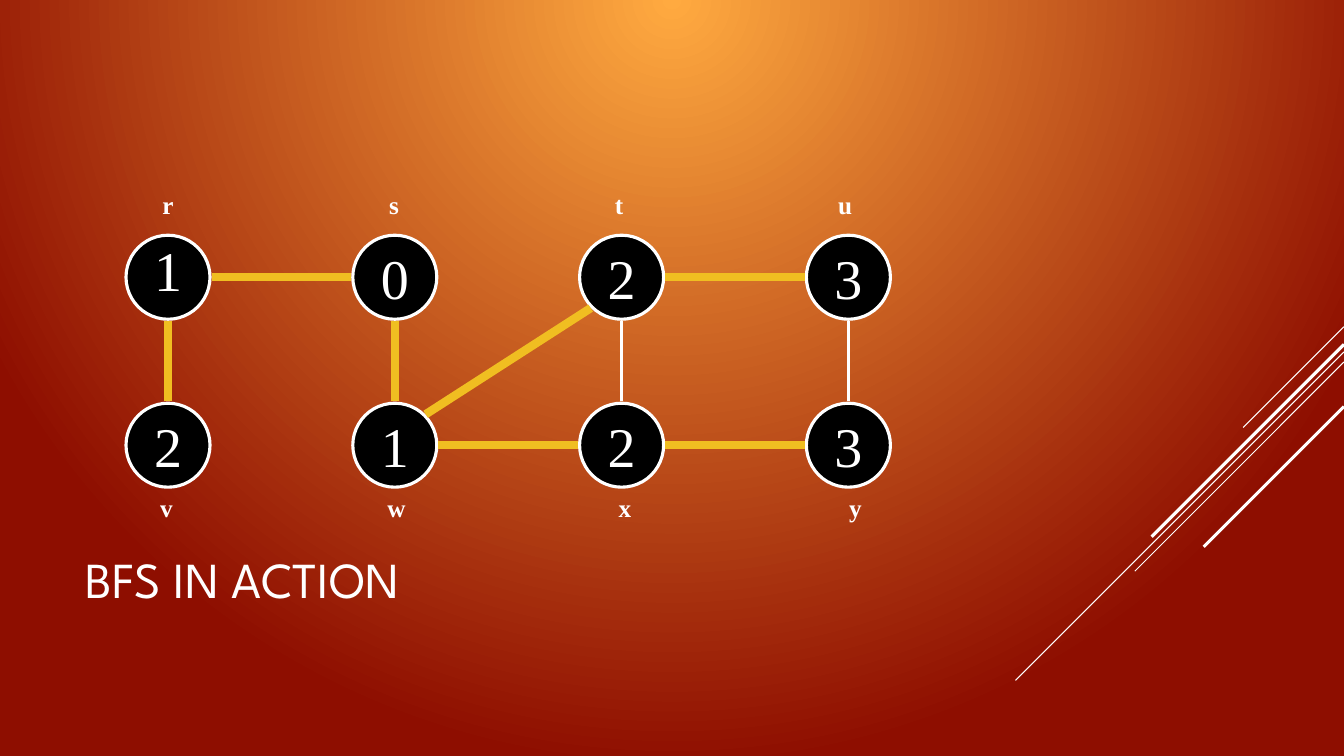
from math import copysign, hypot

from lxml.etree import SubElement
from pptx import Presentation
from pptx.dml.color import RGBColor
from pptx.enum.shapes import MSO_CONNECTOR as Connector, MSO_SHAPE as Shape
from pptx.enum.text import MSO_ANCHOR as Anchor, MSO_AUTO_SIZE as AutoSize, PP_ALIGN as Align
from pptx.oxml.ns import qn
from pptx.util import Inches, Pt

COLORS = {"glow": "FFAA40", "edge": "8E0E00", "node": "000000",
          "tree": "F0BE21", "white": "FFFFFF"}
COLUMNS, ROWS, CELLS_PER_INCH = 160, 90, 12
NODE_SIZE, NODE_REACH = 10, 5.2
FIRST_COLUMN, FIRST_ROW, COLUMN_STEP, ROW_STEP = 20, 33, 27, 20
LABEL_ROWS = (22, 58)

STREAKS = [(38.9, 12, 0.75), (41.9, 39.1, 0.75), (43.1, 24.9, 0.75),
           (41, 22.9, 2.25), (48.4, 16.7, 2.25)]
NODES = {
    "r": (0, 0, "1", 0, 3.7), "v": (0, 1, "2", -0.2, 3.8),
    "s": (1, 0, "0", -0.1, 3.7), "w": (1, 1, "1", 0.2, 4.7),
    "t": (2, 0, "2", -0.3, 3.4), "x": (2, 1, "2", 0.4, 4.1),
    "u": (3, 0, "3", -0.4, 4.3), "y": (3, 1, "3", 0.8, 3.8),
}
EDGES = [("v", "r", True), ("r", "s", True), ("s", "w", True),
         ("w", "t", True), ("w", "x", True), ("x", "t", False),
         ("t", "u", True), ("x", "y", True), ("y", "u", False)]


def grid(cells):
    return Inches(cells / CELLS_PER_INCH)


def color(name):
    return RGBColor.from_string(COLORS[name])


def center(name):
    column, row = NODES[name][:2]
    return FIRST_COLUMN + COLUMN_STEP * column, FIRST_ROW + ROW_STEP * row


class SlideBuilder:
    """Draws styled elements on one slide, measured in grid columns and rows."""

    def __init__(self, slide):
        self.slide = slide
        self.title_font = "League Spartan"
        self.graph_font = "Times New Roman"

    def background(self):
        fill = self.slide.background.fill
        fill.gradient()
        for stop, name in zip(fill.gradient_stops, ("glow", "edge")):
            stop.color.rgb = color(name)
        gradient = self.slide.element.find(".//" + qn("a:gradFill"))
        gradient.remove(gradient.find(qn("a:lin")))
        radial = SubElement(gradient, qn("a:path"), {"path": "circle"})
        SubElement(radial, qn("a:fillToRect"), {"b": "100000"})

    def add_text(self, frame, text, font, size, bold=False, align=Align.CENTER):
        paragraph = frame.paragraphs[0]
        paragraph.alignment = align
        run = paragraph.add_run()
        run.text = text
        run.font.name = font
        run.font.size = Pt(size)
        run.font.bold = bold
        run.font.color.rgb = color("white")
        return paragraph

    def line(self, start, end, name, weight):
        points = [grid(value) for value in (*start, *end)]
        connector = self.slide.shapes.add_connector(Connector.STRAIGHT, *points)
        connector.line.color.rgb = color(name)
        connector.line.width = Pt(weight)
        SubElement(connector.element.spPr, qn("a:effectLst"))

    def title(self, text, left, top, width, height):
        box = self.slide.shapes.add_textbox(*map(grid, (left, top, width, height)))
        frame = box.text_frame
        frame.word_wrap = True
        frame.vertical_anchor = Anchor.MIDDLE
        self.add_text(frame, text, self.title_font, 36, align=Align.LEFT)

    def node(self, name):
        x, y = center(name)
        bounds = (x - NODE_SIZE / 2, y - NODE_SIZE / 2, NODE_SIZE, NODE_SIZE)
        shape = self.slide.shapes.add_shape(Shape.OVAL, *map(grid, bounds))
        shape.shadow.inherit = False
        shape.fill.solid()
        shape.fill.fore_color.rgb = color("node")
        shape.line.color.rgb = color("white")
        shape.line.width = Pt(2.25)
        frame = shape.text_frame
        frame.word_wrap = False
        frame.vertical_anchor = Anchor.MIDDLE
        paragraph = self.add_text(frame, NODES[name][2], self.graph_font, 40)
        if name == "r":
            paragraph.line_spacing = 0.7

    def label(self, name):
        row, nudge, width = NODES[name][1], *NODES[name][3:]
        left = center(name)[0] + nudge - width / 2
        bounds = (left, LABEL_ROWS[row], width, 5.2)
        frame = self.slide.shapes.add_textbox(*map(grid, bounds)).text_frame
        frame.word_wrap = False
        frame.auto_size = AutoSize.SHAPE_TO_FIT_TEXT
        self.add_text(frame, name, self.graph_font, 18, bold=True)

    def edge(self, first, second, in_tree):
        (x1, y1), (x2, y2) = center(first), center(second)
        step_x = copysign(1, x2 - x1) if x1 != x2 else 0
        step_y = copysign(1, y2 - y1) if y1 != y2 else 0
        reach = NODE_REACH / hypot(step_x, step_y)
        start = (x1 + reach * step_x, y1 + reach * step_y)
        end = (x2 - reach * step_x, y2 - reach * step_y)
        self.line(start, end, *(("tree", 6) if in_tree else ("white", 2.25)))


def main():
    presentation = Presentation()
    presentation.slide_width = grid(COLUMNS)
    presentation.slide_height = grid(ROWS)
    builder = SlideBuilder(presentation.slides.add_slide(presentation.slide_layouts[6]))
    builder.background()
    for top, length, weight in STREAKS:
        builder.line((COLUMNS, top), (COLUMNS - length, top + length), "white", weight)
    builder.title("BFS IN ACTION", 9, 59, 112, 19.8)
    for name in NODES:
        builder.node(name)
    for name in NODES:
        builder.label(name)
    for first, second, in_tree in EDGES:
        builder.edge(first, second, in_tree)
    presentation.save("out.pptx")


if __name__ == "__main__":
    main()
